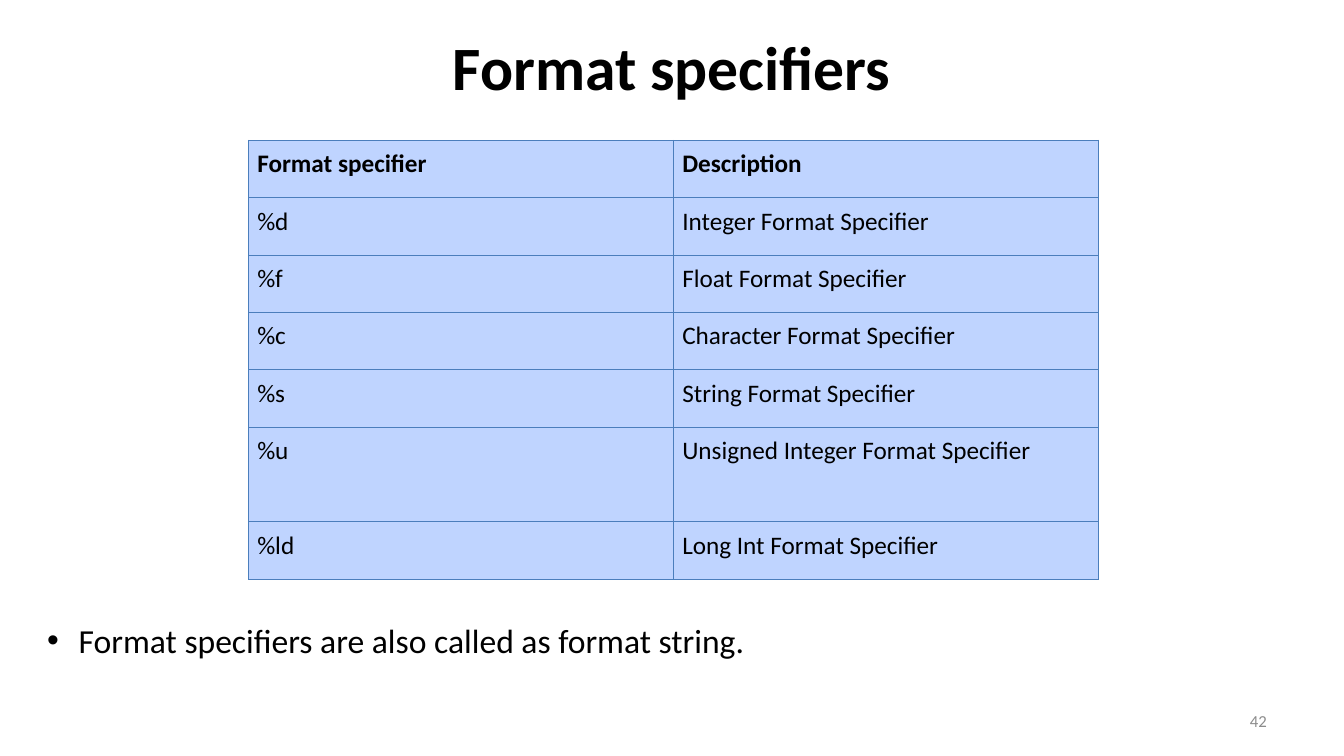
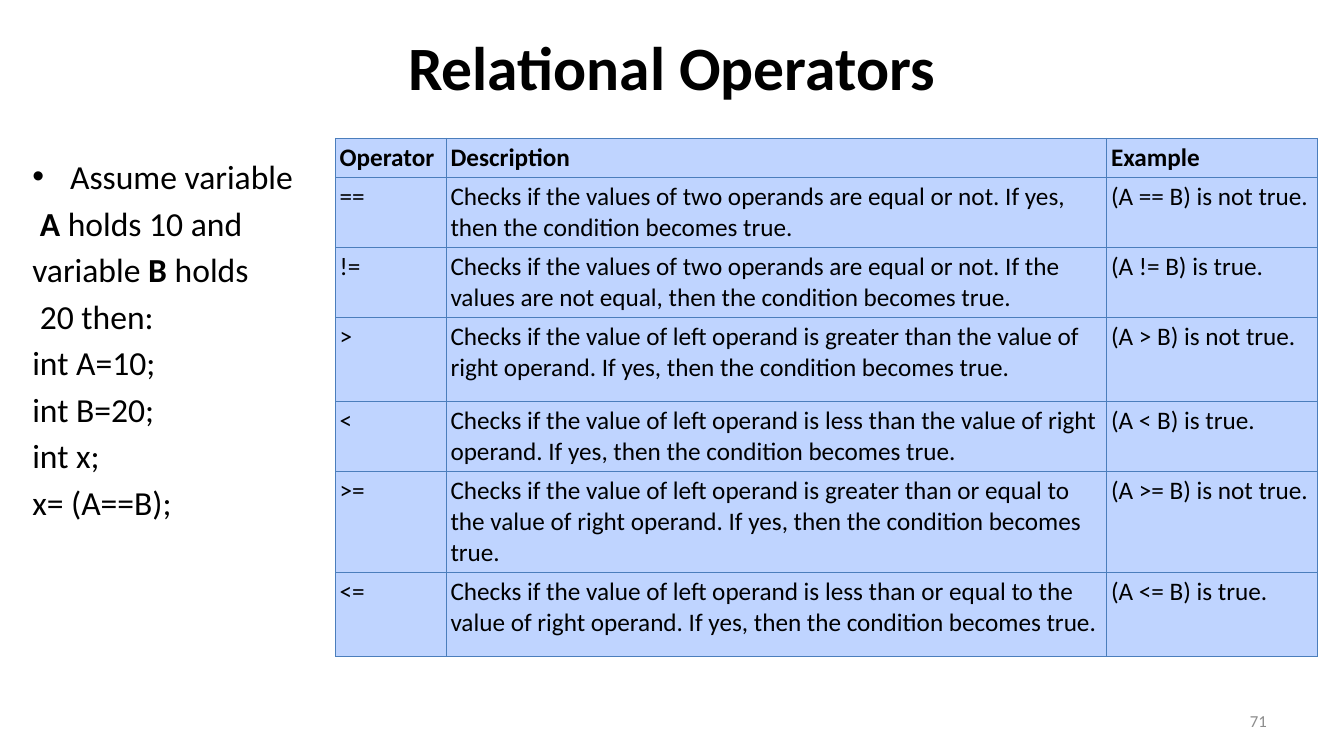
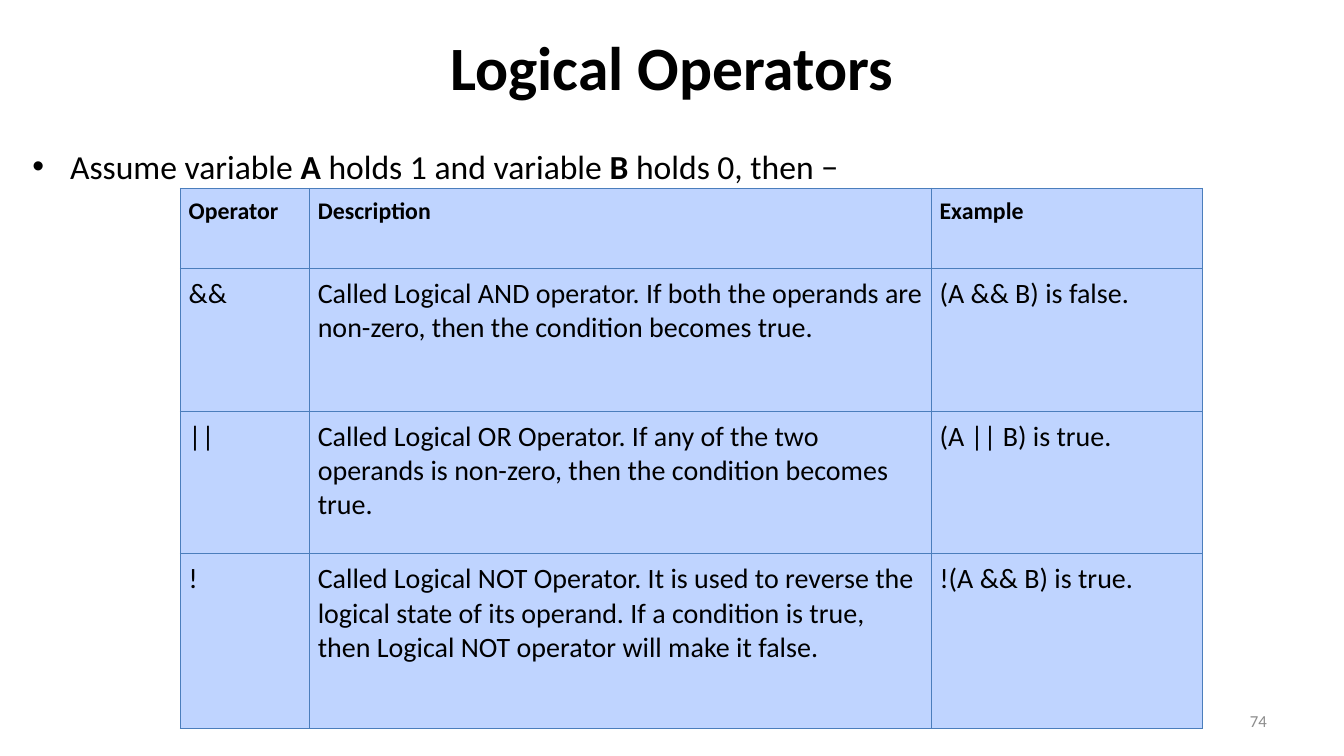
"""Build three slides of C language notes, each with a title, a table and a text."""
from dataclasses import dataclass

from lxml.etree import SubElement
from pptx import Presentation
from pptx.dml.color import RGBColor
from pptx.enum.text import MSO_ANCHOR, PP_ALIGN
from pptx.oxml.ns import qn
from pptx.slide import Slide
from pptx.table import _Cell
from pptx.text.text import TextFrame, _Paragraph
from pptx.util import Pt


@dataclass(frozen=True)
class Theme:
    font: str = "Calibri"
    text: RGBColor = RGBColor(0x00, 0x00, 0x00)
    muted: RGBColor = RGBColor(0x8C, 0x8C, 0x8C)
    cell_fill: RGBColor = RGBColor(0xBF, 0xD4, 0xFF)
    border: str = "4B7EBC"
    border_width: float = 0.75
    title_size: float = 44
    body_size: float = 24
    number_size: float = 12


@dataclass(frozen=True)
class Box:
    left: float
    top: float
    width: float
    height: float


@dataclass(frozen=True)
class Body:
    box: Box
    lines: tuple[str, ...]
    indent: float = 27


@dataclass(frozen=True)
class Grid:
    left: float
    top: float
    columns: tuple[float, ...]
    row_heights: tuple[float, ...]
    rows: tuple[tuple[str, ...], ...]
    inset: float = 6
    header_size: float = 18
    cell_size: float = 18


@dataclass(frozen=True)
class Page:
    title: str
    number: int
    body: Body
    grid: Grid


THEME = Theme()
TITLE_BOX = Box(48, 15, 864, 63.5)
NUMBER_BOX = Box(688, 500.4, 224, 28.8)
LINE_GAP = 4.4

PAGES = (
    Page(
        "Format specifiers",
        42,
        Body(
            Box(26.6, 439.2, 805, 36),
            ("Format specifiers are also called as format string.",),
            indent=22.5,
        ),
        Grid(
            177.8, 100.2, (303.6,) * 2, (41,) * 5 + (67.5, 41),
            (
                ("Format specifier", "Description"),
                ("%d", "Integer Format Specifier"),
                ("%f", "Float Format Specifier"),
                ("%c", "Character Format Specifier"),
                ("%s", "String Format Specifier"),
                ("%u", "Unsigned Integer Format Specifier"),
                ("%ld", "Long Int Format Specifier"),
            ),
        ),
    ),
    Page(
        "Relational Operators",
        71,
        Body(
            Box(16, 108, 216, 290),
            (
                "Assume variable",
                " *A* holds 10 and ",
                "variable *B* holds",
                " 20 then: ",
                "int A=10;",
                "int B=20;",
                "int x;",
                "x= (A==B);",
            ),
        ),
        Grid(
            239.6, 98.8, (79.2, 471.8, 150.4), (28, 50, 50, 60, 50, 72, 60),
            (
                ("Operator", "Description", "Example"),
                ("==", "Checks if the values of two operands are equal or not. "
                 "If yes, then the condition becomes true.", "(A == B) is not true."),
                ("!=", "Checks if the values of two operands are equal or not. "
                 "If the values are not equal, then the condition becomes true.",
                 "(A != B) is true."),
                (">", "Checks if the value of left operand is greater than the value of "
                 "right operand. If yes, then the condition becomes true.",
                 "(A > B) is not true."),
                ("<", "Checks if the value of left operand is less than the value of "
                 "right operand. If yes, then the condition becomes true.",
                 "(A < B) is true."),
                (">=", "Checks if the value of left operand is greater than or equal to "
                 "the value of right operand. If yes, then the condition becomes true.",
                 "(A >= B) is not true."),
                ("<=", "Checks if the value of left operand is less than or equal to the "
                 "value of right operand. If yes, then the condition becomes true.",
                 "(A <= B) is true."),
            ),
            inset=3,
        ),
    ),
    Page(
        "Logical Operators",
        74,
        Body(
            Box(16, 100.8, 924, 36),
            ("Assume variable *A* holds 1 and variable *B* holds 0, then −",),
        ),
        Grid(
            128.8, 134.6, (92.2, 444.2, 193.6), (57, 102, 102, 124.5),
            (
                ("Operator", "Description", "Example"),
                ("&&", "Called Logical AND operator. If both the operands are non-zero, "
                 "then the condition becomes true.", "(A && B) is false."),
                ("||", "Called Logical OR Operator. If any of the two operands is "
                 "non-zero, then the condition becomes true.", "(A || B) is true."),
                ("!", "Called Logical NOT Operator. It is used to reverse the logical "
                 "state of its operand. If a condition is true, then Logical NOT operator "
                 "will make it false.", "!(A && B) is true."),
            ),
            header_size=17,
            cell_size=20,
        ),
    ),
)


def style(paragraph: _Paragraph, size: float, color: RGBColor = THEME.text,
          bold: bool = False) -> None:
    font = paragraph.font
    font.name = THEME.font
    font.size = Pt(size)
    font.color.rgb = color
    font.bold = bold


def add_text_frame(slide: Slide, box: Box) -> TextFrame:
    shape = slide.shapes.add_textbox(
        Pt(box.left), Pt(box.top), Pt(box.width), Pt(box.height))
    shape.text_frame.word_wrap = True
    return shape.text_frame


def add_label(slide: Slide, box: Box, text: str, size: float, color: RGBColor,
              alignment: PP_ALIGN, bold: bool = False) -> None:
    frame = add_text_frame(slide, box)
    frame.vertical_anchor = MSO_ANCHOR.MIDDLE
    paragraph = frame.paragraphs[0]
    paragraph.text = text
    paragraph.alignment = alignment
    style(paragraph, size, color, bold)


def add_bullet(paragraph: _Paragraph, indent: float) -> None:
    properties = paragraph._p.get_or_add_pPr()
    properties.set("marL", str(Pt(indent)))
    properties.set("indent", str(-Pt(indent)))
    SubElement(properties, qn("a:buFont"), typeface="Arial")
    SubElement(properties, qn("a:buChar"), char="•")


def add_body(slide: Slide, body: Body) -> None:
    frame = add_text_frame(slide, body.box)
    for index, line in enumerate(body.lines):
        if index:
            paragraph = frame.add_paragraph()
            paragraph.space_before = Pt(LINE_GAP)
        else:
            paragraph = frame.paragraphs[0]
            add_bullet(paragraph, body.indent)
        paragraph.alignment = PP_ALIGN.JUSTIFY
        style(paragraph, THEME.body_size)
        for part, text in enumerate(line.split("*")):
            run = paragraph.add_run()
            run.text = text
            if part % 2:
                run.font.bold = True


def add_borders(cell: _Cell) -> None:
    properties = cell._tc.get_or_add_tcPr()
    for side in ("L", "R", "T", "B"):
        line = SubElement(properties, qn(f"a:ln{side}"), w=str(Pt(THEME.border_width)))
        fill = SubElement(line, qn("a:solidFill"))
        SubElement(fill, qn("a:srgbClr"), val=THEME.border)


def fill_cell(cell: _Cell, text: str, grid: Grid, is_header: bool) -> None:
    add_borders(cell)
    cell.fill.solid()
    cell.fill.fore_color.rgb = THEME.cell_fill
    cell.margin_left = cell.margin_right = Pt(grid.inset)
    cell.margin_top = cell.margin_bottom = Pt(grid.inset)
    paragraph = cell.text_frame.paragraphs[0]
    paragraph.text = text
    style(paragraph, grid.header_size if is_header else grid.cell_size, bold=is_header)


def add_grid(slide: Slide, grid: Grid) -> None:
    table = slide.shapes.add_table(
        len(grid.rows), len(grid.columns), Pt(grid.left), Pt(grid.top),
        Pt(sum(grid.columns)), Pt(sum(grid.row_heights))).table
    table.first_row = table.horz_banding = False
    for column, width in zip(table.columns, grid.columns):
        column.width = Pt(width)
    for row_index, (height, texts) in enumerate(zip(grid.row_heights, grid.rows)):
        table.rows[row_index].height = Pt(height)
        for column_index, text in enumerate(texts):
            fill_cell(table.cell(row_index, column_index), text, grid, row_index == 0)


def main() -> None:
    presentation = Presentation()
    presentation.slide_width = Pt(960)
    presentation.slide_height = Pt(540)
    for page in PAGES:
        slide = presentation.slides.add_slide(presentation.slide_layouts[6])
        add_label(slide, TITLE_BOX, page.title, THEME.title_size, THEME.text,
                  PP_ALIGN.CENTER, bold=True)
        add_body(slide, page.body)
        add_label(slide, NUMBER_BOX, str(page.number), THEME.number_size, THEME.muted,
                  PP_ALIGN.RIGHT)
        add_grid(slide, page.grid)
    presentation.save("out.pptx")


if __name__ == "__main__":
    main()
